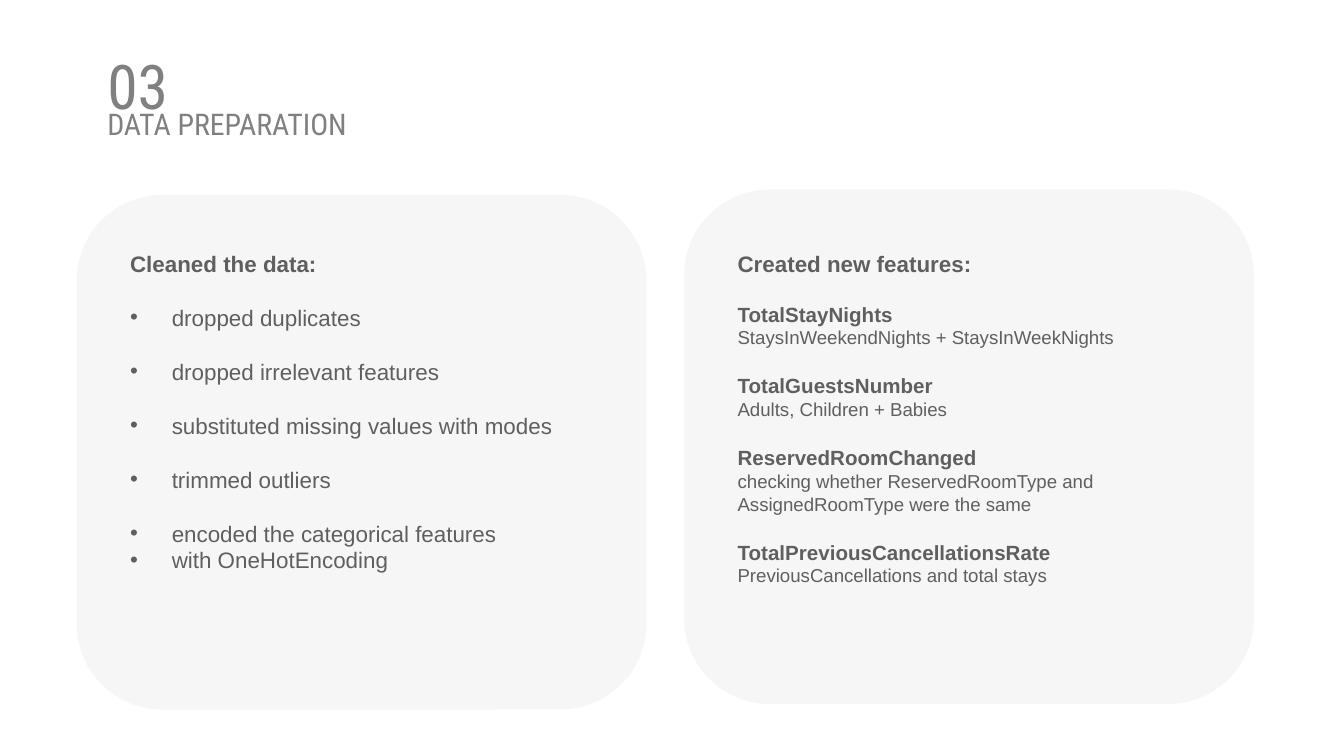
from dataclasses import dataclass

import lxml.etree
import pptx
import pptx.dml.color
import pptx.enum.shapes
import pptx.enum.text
import pptx.oxml.ns
import pptx.util

Inches = pptx.util.Inches
Pt = pptx.util.Pt
Anchor = pptx.enum.text.MSO_ANCHOR
Align = pptx.enum.text.PP_ALIGN


@dataclass(frozen=True)
class Theme:
    title_font: str = "Roboto Condensed"
    body_font: str = "Arial"
    title_color: str = "808080"
    body_color: str = "5F5F5F"
    panel_color: str = "DDDDDD"
    panel_opacity: int = 24
    number_size: int = 33
    title_size: int = 16
    heading_size: int = 12
    feature_size: int = 11
    detail_size: int = 10
    step_gap: float = 14.5
    feature_gap: float = 13.3


class SlideBuilder:
    def __init__(self, slide, theme):
        self.slide = slide
        self.theme = theme

    def panel(self, left, top, width, height):
        """Add a translucent rounded panel."""
        shape = self.slide.shapes.add_shape(
            pptx.enum.shapes.MSO_SHAPE.ROUNDED_RECTANGLE,
            Inches(left), Inches(top), Inches(width), Inches(height))
        shape.shadow.inherit = False
        shape.line.fill.background()
        shape.fill.solid()
        shape.fill.fore_color.rgb = pptx.dml.color.RGBColor.from_string(self.theme.panel_color)
        color = shape._element.spPr.find(".//" + pptx.oxml.ns.qn("a:srgbClr"))
        alpha = lxml.etree.SubElement(color, pptx.oxml.ns.qn("a:alpha"))
        alpha.set("val", str(self.theme.panel_opacity * 1000))

    def text_box(self, left, top, width, height, anchor=Anchor.TOP, inset=None):
        """Add an empty wrapping text box and return its frame."""
        frame = self.slide.shapes.add_textbox(
            Inches(left), Inches(top), Inches(width), Inches(height)).text_frame
        frame.word_wrap = True
        frame.vertical_anchor = anchor
        if inset is not None:
            frame.margin_left = frame.margin_right = Inches(inset)
            frame.margin_top = frame.margin_bottom = Inches(inset)
        return frame

    def paragraph(self, frame, text, size, bold=False, gap=0, align=Align.LEFT, title=False):
        """Fill the first paragraph of the frame, or add one after it."""
        first = frame.paragraphs[0]
        paragraph = frame.add_paragraph() if first.runs else first
        paragraph.alignment = align
        paragraph.space_before = Pt(gap)
        run = paragraph.add_run()
        run.text = text
        font = run.font
        font.size = Pt(size)
        font.bold = bold
        font.name = self.theme.title_font if title else self.theme.body_font
        color = self.theme.title_color if title else self.theme.body_color
        font.color.rgb = pptx.dml.color.RGBColor.from_string(color)
        return paragraph

    def title(self, text, size, top, width, anchor, line_spacing):
        """Add one line of the slide heading."""
        frame = self.text_box(0.7, top, width, 0.63, anchor, inset=0.1)
        self.paragraph(frame, text, size, title=True).line_spacing = line_spacing

    def bullet(self, frame, text, gap):
        """Add a bulleted paragraph with a hanging indent."""
        paragraph = self.paragraph(
            frame, text, self.theme.heading_size, gap=gap, align=Align.JUSTIFY)
        properties = paragraph._p.get_or_add_pPr()
        indent = Inches(0.31)
        properties.set("marL", str(indent))
        properties.set("indent", str(-indent))
        font = lxml.etree.SubElement(properties, pptx.oxml.ns.qn("a:buFont"))
        font.set("typeface", self.theme.body_font)
        mark = lxml.etree.SubElement(properties, pptx.oxml.ns.qn("a:buChar"))
        mark.set("char", "•")


CLEANING_STEPS = [
    "dropped duplicates",
    "dropped irrelevant features",
    "substituted missing values with modes",
    "trimmed outliers",
    "encoded the categorical features ",
]
LAST_STEP_CONTINUED = "with OneHotEncoding"

NEW_FEATURES = [
    ("TotalStayNights", "StaysInWeekendNights + StaysInWeekNights"),
    ("TotalGuestsNumber", "Adults, Children + Babies"),
    ("ReservedRoomChanged",
     "checking whether ReservedRoomType and AssignedRoomType were the same"),
    ("TotalPreviousCancellationsRate", "PreviousCancellations and total stays"),
]


def main():
    # Widescreen 16:9 slide
    presentation = pptx.Presentation()
    presentation.slide_width = Inches(10)
    presentation.slide_height = Inches(10) * 9 // 16
    theme = Theme()
    builder = SlideBuilder(
        presentation.slides.add_slide(presentation.slide_layouts[6]), theme)

    # Panels
    for left, top in ((0.57, 1.45), (5.09, 1.41)):
        builder.panel(left, top, 4.24, 3.83)

    # Section number and title
    builder.title("DATA PREPARATION", theme.title_size, 0.53, 2.35, Anchor.BOTTOM, 0.9)
    builder.title("03", theme.number_size, 0.35, 1.92, Anchor.MIDDLE, 0.89)

    # Created features
    features = builder.text_box(5.39, 1.81, 3.84, 2.63)
    builder.paragraph(features, "Created new features:", theme.heading_size, bold=True)
    for name, detail in NEW_FEATURES:
        builder.paragraph(features, name, theme.feature_size, bold=True, gap=theme.feature_gap)
        builder.paragraph(features, detail, theme.detail_size)

    # Cleaning steps
    cleaning = builder.text_box(0.87, 1.81, 3.93, 2.93)
    builder.paragraph(cleaning, "Cleaned the data:", theme.heading_size,
                      bold=True, align=Align.JUSTIFY)
    for step in CLEANING_STEPS:
        builder.bullet(cleaning, step, theme.step_gap)
    builder.bullet(cleaning, LAST_STEP_CONTINUED, 0)

    presentation.save("out.pptx")


if __name__ == "__main__":
    main()
